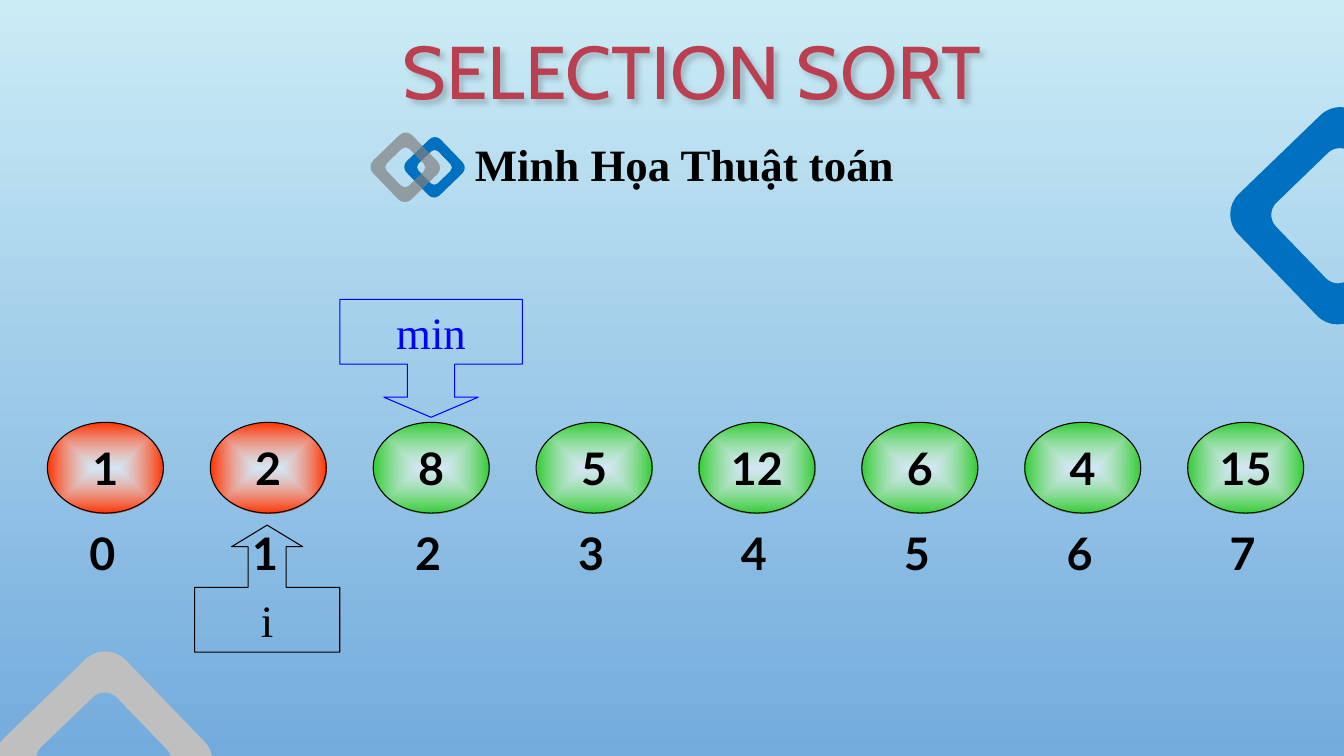
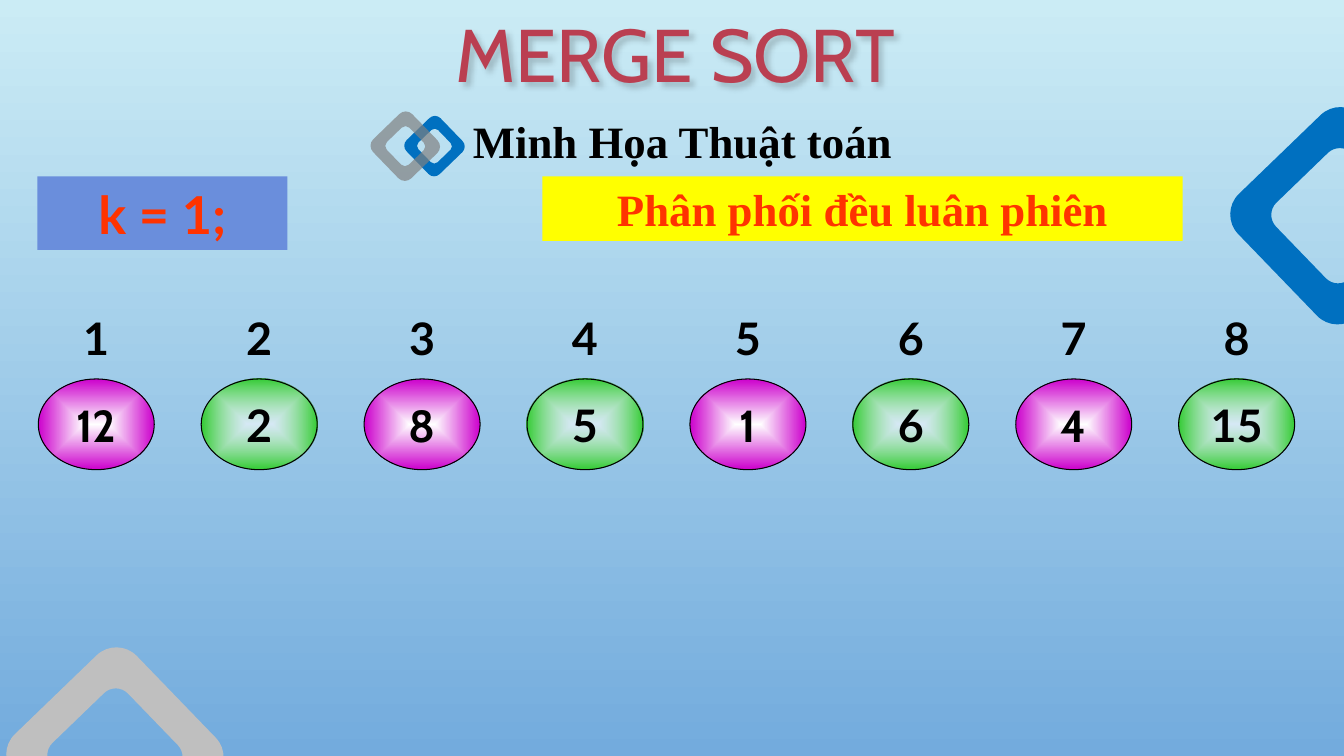
from lxml.etree import SubElement as Sub
from pptx import Presentation
from pptx.dml.color import RGBColor as Rgb
from pptx.enum.shapes import MSO_SHAPE as Form
from pptx.enum.text import MSO_ANCHOR as Anchor, PP_ALIGN as Align
from pptx.oxml.ns import qn
from pptx.util import Inches, Pt


class Theme:
    sky = ("CBECF5", "73ABDD")
    title, blue, silver, gray = "BA3F51", "0070C0", "BFBFBF", "808080"
    black, white, red, green = "000000", "FFFFFF", "FF3300", "33CC33"
    pink, ink, peri, yellow = "CC00CC", "0000FF", "6A8EDC", "FFFF00"
    sans, head, serif = "Lato", "Cabin", "Times New Roman"
    big, mid, base = 53.3, 37.3, 32


def write(shape, text, face, size=Theme.base, tint=Theme.black, bold=True,
          align=Align.CENTER):
    frame = shape.text_frame
    frame.word_wrap = True
    frame.vertical_anchor = Anchor.MIDDLE
    frame.margin_left = frame.margin_right = 0
    frame.margin_top = frame.margin_bottom = 0
    para = frame.paragraphs[0]
    para.text, para.alignment = text, align
    font = para.font
    font.name, font.size, font.bold = face, Pt(size), bold
    font.color.rgb = Rgb.from_string(tint)


def ring(shapes, mid_x, mid_y, side, hole, tint, alpha=100):
    """Draw a tilted, rounded square frame; hole is inner side / outer side."""
    pen = None
    for width, curve in ((side, side / 6), (side * hole, side / 10)):
        half = width / 2
        flat, pull = half - curve, half - curve * 0.45
        dots = []
        # Each corner: start, two handles, end; then a quarter turn
        for cos, sin in ((1, 0), (0, 1), (-1, 0), (0, -1)):
            for x, y in ((half, flat), (half, pull), (pull, half), (flat, half)):
                dots.append((Inches(mid_x + x * cos - y * sin),
                             Inches(mid_y + x * sin + y * cos)))
        if pen is None:
            pen = shapes.build_freeform(*dots[0])
        else:
            pen.move_to(*dots[0])
        pen.add_line_segments(dots[1:], close=True)
    shape = pen.convert_to_shape()

    # Turn the handles of every corner into a curve
    track = shape._element.find(".//" + qn("a:path"))
    lines = track.findall(qn("a:lnTo"))
    for n in range(0, len(lines), 15):
        for k in range(n, n + 15, 4):
            bend = track.makeelement(qn("a:cubicBezTo"))
            lines[k].addprevious(bend)
            for line in lines[k:k + 3]:
                bend.append(line[0])
                track.remove(line)

    shape.rotation = 316
    shape.shadow.inherit = False
    shape.fill.solid()
    shape.fill.fore_color.rgb = Rgb.from_string(tint)
    shape.line.fill.background()
    if alpha < 100:
        color = shape.fill._xPr.find(".//" + qn("a:srgbClr"))
        Sub(color, qn("a:alpha"), val=str(alpha * 1000))


deck = Presentation()
deck.slide_width, deck.slide_height = Inches(13.33), Inches(7.5)

# Shared background
back = deck.slide_master.background.fill
back.gradient()
back.gradient_angle = 270
for stop, tint, place in zip(back.gradient_stops, Theme.sky, (0, 1)):
    stop.color.rgb, stop.position = Rgb.from_string(tint), place

# Slide content; positions in inches
pages = [
    dict(title="SELECTION SORT", at=(0.17, 0.17), sub=(4.71, 1.35),
         rings=1.66, corner=(1.03, 7.54), row=(0.47, 4.19),
         marks=(0.44, 5.03), first=0, values=(1, 2, 8, 5, 12, 6, 4, 15),
         tints=[Theme.red] * 2 + [Theme.green] * 6,
         calls=[(Form.UP_ARROW_CALLOUT, (1.93, 5.21, 1.44, 1.26),
                 (0.3, 0.28, 0.17, 0.51), "i", Theme.black),
                (Form.DOWN_ARROW_CALLOUT, (3.37, 2.97, 1.81, 1.17),
                 (0.4, 0.4, 0.17, 0.55), "min", Theme.ink)],
         bars=[]),
    dict(title="MERGE SORT", at=(0, 0), sub=(4.69, 1.12),
         rings=1.45, corner=(1.14, 7.5), row=(0.38, 3.76),
         marks=(0.38, 2.9), first=1, values=(12, 2, 8, 5, 1, 6, 4, 15),
         tints=[Theme.pink, Theme.green] * 4,
         calls=[],
         bars=[((0.37, 1.75, 2.48, 0.73), Theme.peri, "k = 1;",
                Theme.sans, Theme.mid),
               ((5.38, 1.75, 6.35, 0.64), Theme.yellow,
                "Phân phối đều luân phiên", Theme.serif, Theme.base)]),
]
pitch = 11.31 / 7
cell = Inches(1.15), Inches(0.9)

for page in pages:
    shapes = deck.slides.add_slide(deck.slide_layouts[6]).shapes

    # Corner frames, subtitle and its emblem
    ring(shapes, *page["corner"], 1.69, 0.62, Theme.silver)
    ring(shapes, 13.28, 2.14, 1.69, 0.62, Theme.blue)
    left, top = page["sub"]
    box = shapes.add_textbox(Inches(left), Inches(top), Inches(4.45), Inches(0.55))
    write(box, "Minh Họa Thuật toán", Theme.serif, align=Align.LEFT)
    emblem = shapes.add_group_shape().shapes
    ring(emblem, 4.31, page["rings"], 0.47, 0.58, Theme.blue)
    ring(emblem, 4.02, page["rings"], 0.54, 0.58, Theme.gray, 69)

    # Array values
    left, top = page["row"]
    for n, (value, tint) in enumerate(zip(page["values"], page["tints"])):
        ball = shapes.add_shape(Form.OVAL, Inches(left + n * pitch), Inches(top), *cell)
        ball.shadow.inherit = False
        ball.line.color.rgb = Rgb.from_string(Theme.black)
        ball.line.width = Pt(0.75)
        ball.fill.gradient()
        for stop, hue, place in zip(ball.fill.gradient_stops, (Theme.white, tint), (0, 1)):
            stop.color.rgb, stop.position = Rgb.from_string(hue), place
        grad = ball._element.spPr.find(qn("a:gradFill"))
        grad.remove(grad.find(qn("a:lin")))
        focus = Sub(Sub(grad, qn("a:path"), path="shape"), qn("a:fillToRect"))
        for edge in "ltrb":
            focus.set(edge, "50000")
        if tint != Theme.pink:
            Sub(grad.find(".//" + qn("a:srgbClr")), qn("a:alpha"), val="60000")
        write(ball, str(value), Theme.head if tint == Theme.pink else Theme.sans)

    # Pointer callouts
    for form, area, bends, text, tint in page["calls"]:
        call = shapes.add_shape(form, *map(Inches, area))
        call.shadow.inherit = False
        for n, bend in enumerate(bends):
            call.adjustments[n] = bend
        call.fill.background()
        call.line.color.rgb = Rgb.from_string(tint)
        call.line.width = Pt(0.75)
        write(call, text, Theme.serif, tint=tint, bold=False)

    # Array indices
    left, top = page["marks"]
    marks = shapes.add_group_shape().shapes
    for n in range(len(page["values"])):
        mark = marks.add_shape(Form.OVAL, Inches(left + n * pitch), Inches(top), *cell)
        mark.shadow.inherit = False
        mark.fill.background()
        mark.line.fill.background()
        write(mark, str(page["first"] + n), Theme.sans)

    # Coloured bars
    for area, tint, text, face, size in page["bars"]:
        bar = shapes.add_shape(Form.RECTANGLE, *map(Inches, area))
        bar.shadow.inherit = False
        bar.fill.solid()
        bar.fill.fore_color.rgb = Rgb.from_string(tint)
        bar.line.fill.background()
        write(bar, text, face, size, Theme.red)

    # Title with a soft shadow
    left, top = page["at"]
    head = shapes.add_textbox(Inches(left), Inches(top), Inches(13.39), Inches(1.05))
    write(head, page["title"], Theme.head, Theme.big, Theme.title, bold=False)
    glow = Sub(Sub(head._element.spPr, qn("a:effectLst")), qn("a:outerShdw"),
               blurRad="50800", dist="38100", dir="2700000", algn="tl")
    shade = Sub(glow, qn("a:srgbClr"), val=Theme.black)
    Sub(shade, qn("a:alpha"), val="18000")

deck.save("out.pptx")
